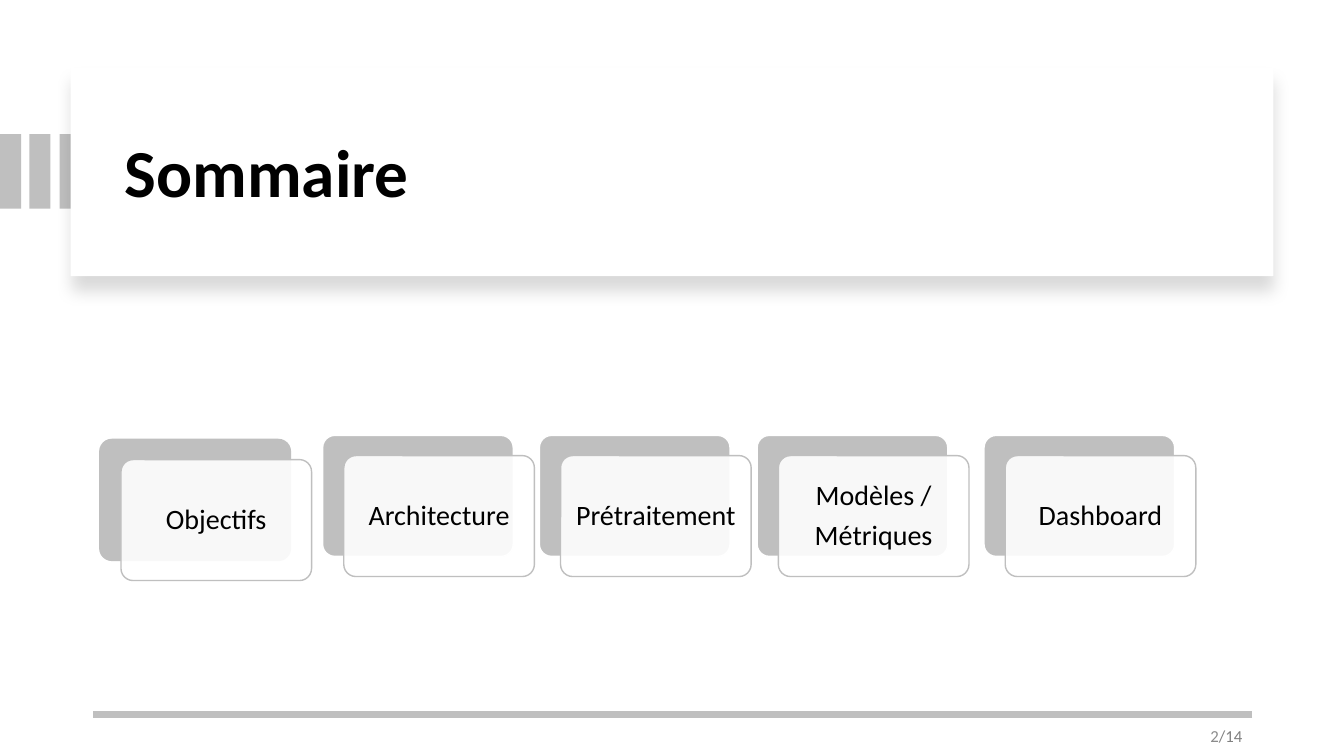
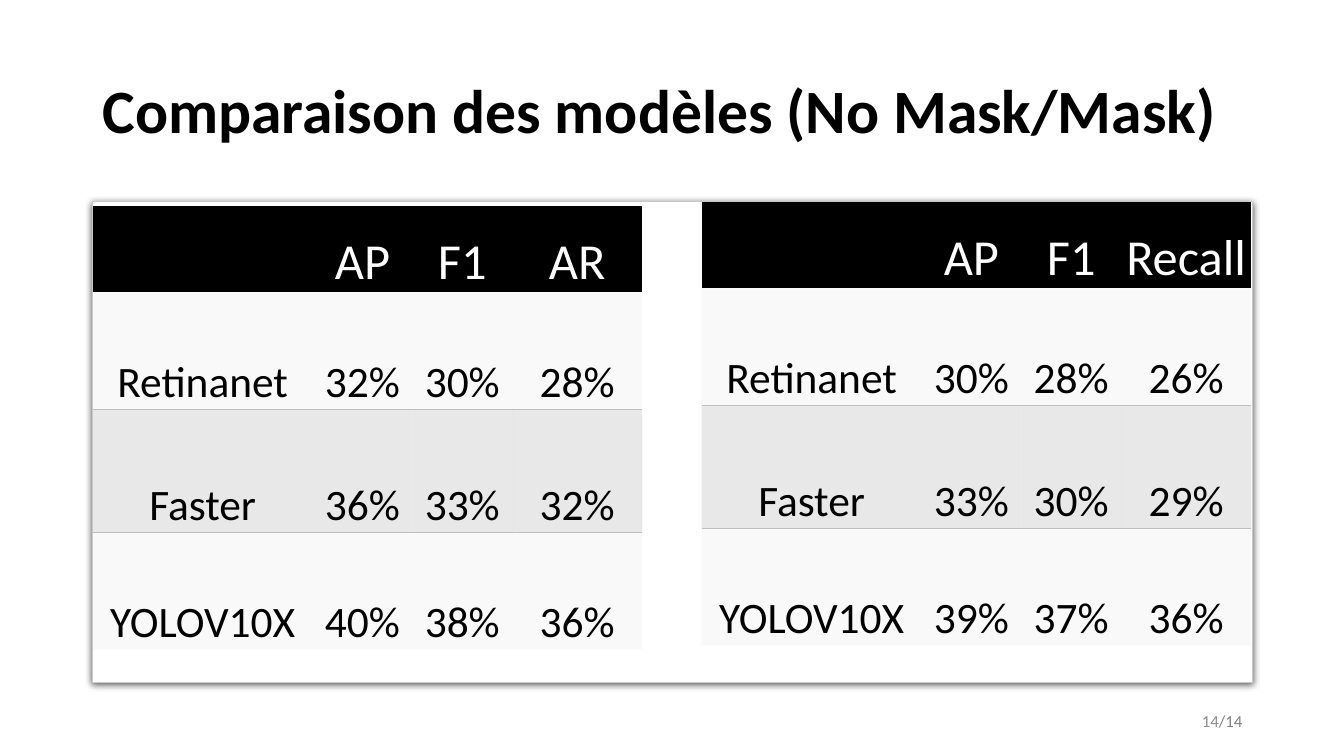
from dataclasses import dataclass
from typing import NamedTuple

import pptx
import pptx.dml.color
import pptx.enum.shapes
import pptx.enum.text
import pptx.oxml
import pptx.oxml.ns
import pptx.util
from lxml import etree

EMU_PER_PX = 9144  # 100 px to the inch
FONT = "Calibri"
BLACK, WHITE, GREY = "000000", "FFFFFF", "BFBFBF"
PALE, PANEL_EDGE = "F2F2F2", "C8CACA"
PAGE_GREY, TOTAL_GREY = "8C8C8C", "808080"
PAGE_TOTAL = 14
NO_TABLE_STYLE = "{2D5ABB26-0587-4C30-8999-92F81FD0307C}"

Shapes = pptx.enum.shapes.MSO_SHAPE
Align = pptx.enum.text.PP_ALIGN
Anchor = pptx.enum.text.MSO_ANCHOR
qn = pptx.oxml.ns.qn


class Box(NamedTuple):
    left: int
    top: int
    width: int
    height: int


class Run(NamedTuple):
    text: str
    color: str


class Shadow(NamedTuple):
    """Black shadow below a shape: opacity in percent, lengths in points."""
    opacity: int
    blur: float
    distance: float


@dataclass(frozen=True)
class Card:
    label: str
    left: int
    top: int = 432
    back_edge: str = WHITE


@dataclass(frozen=True)
class ScoreTable:
    left: int
    top: int
    rows: tuple[tuple[str, ...], ...]


STRIPE_LEFTS = (0, 29, 59)
CARD_WIDTH, CARD_HEIGHT = 189, 120
CARD_SHIFT_X, CARD_SHIFT_Y = 21, 20
CARDS = (
    Card("Objectifs", 99, top=436, back_edge=GREY),
    Card("Architecture", 320),
    Card("Prétraitement", 535),
    Card("Modèles /\nMétriques", 751),
    Card("Dashboard", 976),
)

COLUMN_WIDTHS = (218, 99, 99, 129)
ROW_HEIGHTS = (85, 116, 122, 116)
ROW_FILLS = ((BLACK, 100), (PALE, 45), (GREY, 35), (PALE, 45))
SCORES = (
    ScoreTable(92, 204, (
        ("", "AP", "F1", "AR"),
        ("Retinanet", "32%", "30%", "28%"),
        ("Faster", "36%", "33%", "32%"),
        ("YOLOV10X", "40%", "38%", "36%"),
    )),
    ScoreTable(696, 200, (
        ("", "AP", "F1", "Recall"),
        ("Retinanet", "30%", "28%", "26%"),
        ("Faster", "33%", "30%", "29%"),
        ("YOLOV10X", "39%", "37%", "36%"),
    )),
)


def px(length: int) -> pptx.util.Emu:
    return pptx.util.Emu(length * EMU_PER_PX)


def emu(box: Box) -> list[pptx.util.Emu]:
    return [px(length) for length in box]


def rgb(color: str) -> pptx.dml.color.RGBColor:
    return pptx.dml.color.RGBColor.from_string(color)


def set_fill(fill, parent, color: str, opacity: int = 100) -> None:
    """Fill with a colour; parent is the element that holds the fill."""
    fill.solid()
    fill.fore_color.rgb = rgb(color)
    if opacity < 100:
        tint = parent.find(qn("a:solidFill"))[0]
        etree.SubElement(tint, qn("a:alpha"), val=str(opacity * 1000))


def write(frame, text: str, *, size: float, color: str = BLACK, bold: bool = False,
          align=Align.LEFT, anchor=Anchor.MIDDLE, line_spacing: float = 1.0,
          space_after: float = 0, tail: Run | None = None) -> None:
    """Put one paragraph per line of text, with an optional closing run."""
    frame.word_wrap = True
    frame.vertical_anchor = anchor
    lines = [[Run(line, color)] for line in text.split("\n")]
    if tail:
        lines[-1].append(tail)
    for index, runs in enumerate(lines):
        paragraph = frame.add_paragraph() if index else frame.paragraphs[0]
        paragraph.alignment = align
        paragraph.line_spacing = line_spacing
        paragraph.space_after = pptx.util.Pt(space_after)
        for part in runs:
            run = paragraph.add_run()
            run.text = part.text
            run.font.name = FONT
            run.font.size = pptx.util.Pt(size)
            run.font.bold = bold
            run.font.color.rgb = rgb(part.color)


def add_box(slide, box: Box, *, preset=Shapes.RECTANGLE, fill: str, opacity: int = 100,
            edge: str | None = None, edge_width: float = 1,
            shadow: Shadow | None = None):
    shape = slide.shapes.add_shape(preset, *emu(box))
    properties = shape._element.spPr
    set_fill(shape.fill, properties, fill, opacity)
    if edge:
        shape.line.color.rgb = rgb(edge)
        shape.line.width = pptx.util.Pt(edge_width)
    else:
        shape.line.fill.background()
    shape.shadow.inherit = False
    if shadow:
        outer = etree.SubElement(
            properties.find(qn("a:effectLst")), qn("a:outerShdw"),
            blurRad=str(pptx.util.Pt(shadow.blur)), dist=str(pptx.util.Pt(shadow.distance)),
            dir="5400000", algn="t", rotWithShape="0")
        tint = etree.SubElement(outer, qn("a:srgbClr"), val=BLACK)
        etree.SubElement(tint, qn("a:alpha"), val=str(shadow.opacity * 1000))
    return shape


def add_title(slide, box: Box, text: str, size: int) -> None:
    title = slide.shapes.add_textbox(*emu(box))
    write(title.text_frame, text, size=size, bold=True, line_spacing=0.9)


def add_page_number(slide, number: int, top: int) -> None:
    page = slide.shapes.add_textbox(*emu(Box(942, top, 300, 40)))
    write(page.text_frame, str(number), size=12, color=PAGE_GREY, align=Align.RIGHT,
          space_after=6, tail=Run(f"/{PAGE_TOTAL}", TOTAL_GREY))


def add_footer_rule(slide) -> None:
    rule = slide.shapes.add_connector(
        pptx.enum.shapes.MSO_CONNECTOR.STRAIGHT, px(1242), px(709), px(92), px(709))
    rule.line.color.rgb = rgb(GREY)
    rule.line.width = pptx.util.Pt(4.5)
    etree.SubElement(rule._element.spPr, qn("a:effectLst"))


def add_card(slide, card: Card) -> None:
    """Draw a grey plate and, shifted over it, a translucent labelled one."""
    back_box = Box(card.left, card.top, CARD_WIDTH, CARD_HEIGHT)
    front_box = back_box._replace(left=card.left + CARD_SHIFT_X, top=card.top + CARD_SHIFT_Y)
    back = add_box(slide, back_box, preset=Shapes.ROUNDED_RECTANGLE,
                   fill=GREY, edge=card.back_edge)
    front = add_box(slide, front_box, preset=Shapes.ROUNDED_RECTANGLE,
                    fill=WHITE, opacity=90, edge=GREY)
    for plate in (back, front):
        plate.adjustments[0] = 0.1
    frame = front.text_frame
    frame.margin_left = frame.margin_right = px(8)
    frame.margin_top = frame.margin_bottom = px(8)
    write(frame, card.label, size=20, align=Align.CENTER, line_spacing=0.9, space_after=7)


def add_cell_border(cell, side: str) -> None:
    line = pptx.oxml.parse_xml(
        f'<a:{side} xmlns:a="http://schemas.openxmlformats.org/drawingml/2006/main" w="12700">'
        f'<a:solidFill><a:srgbClr val="{GREY}"/></a:solidFill></a:{side}>')
    cell._tc.get_or_add_tcPr().insert(0, line)


def add_score_table(slide, scores: ScoreTable) -> None:
    box = Box(scores.left, scores.top, sum(COLUMN_WIDTHS), sum(ROW_HEIGHTS))
    table = slide.shapes.add_table(len(ROW_HEIGHTS), len(COLUMN_WIDTHS), *emu(box)).table
    table.horz_banding = False
    table._tbl.tblPr.find(qn("a:tableStyleId")).text = NO_TABLE_STYLE
    for column, width in zip(table.columns, COLUMN_WIDTHS):
        column.width = px(width)
    for row, height in zip(table.rows, ROW_HEIGHTS):
        row.height = px(height)

    for row_index, (texts, (color, opacity)) in enumerate(zip(scores.rows, ROW_FILLS)):
        is_header = row_index == 0
        for column_index, text in enumerate(texts):
            cell = table.cell(row_index, column_index)
            cell.margin_left = cell.margin_right = px(2)
            cell.margin_top, cell.margin_bottom = px(26), px(0)
            set_fill(cell.fill, cell._tc.get_or_add_tcPr(), color, opacity)
            if row_index == 1:
                add_cell_border(cell, "lnB")
            elif row_index == 2:
                add_cell_border(cell, "lnT")
            cell.vertical_anchor = Anchor.MIDDLE if is_header else Anchor.BOTTOM
            if text:
                write(cell.text_frame, text, size=36 if is_header else 31,
                      color=WHITE if is_header else BLACK, align=Align.CENTER,
                      anchor=None)


def build_summary(slide) -> None:
    for left in STRIPE_LEFTS:
        add_box(slide, Box(left, 133, 21, 74), fill=GREY)
    add_box(slide, Box(70, 67, 1193, 207), fill=WHITE, shadow=Shadow(15, 11, 10))
    add_title(slide, Box(114, 89, 1113, 170), "Sommaire", 48)
    add_footer_rule(slide)
    add_page_number(slide, 2, top=710)
    for card in CARDS:
        add_card(slide, card)


def build_comparison(slide) -> None:
    add_title(slide, Box(92, 40, 1150, 145), "Comparaison des modèles (No Mask/Mask)", 44)
    add_box(slide, Box(92, 200, 1150, 477), fill=WHITE, edge=PANEL_EDGE, edge_width=0.75,
            shadow=Shadow(63, 4.5, 1.5))
    add_page_number(slide, 14, top=695)
    for scores in SCORES:
        add_score_table(slide, scores)


def main() -> None:
    deck = pptx.Presentation()
    deck.slide_width, deck.slide_height = px(1333), px(750)
    blank = deck.slide_layouts[6]
    for build in (build_summary, build_comparison):
        build(deck.slides.add_slide(blank))
    deck.save("out.pptx")


if __name__ == "__main__":
    main()
